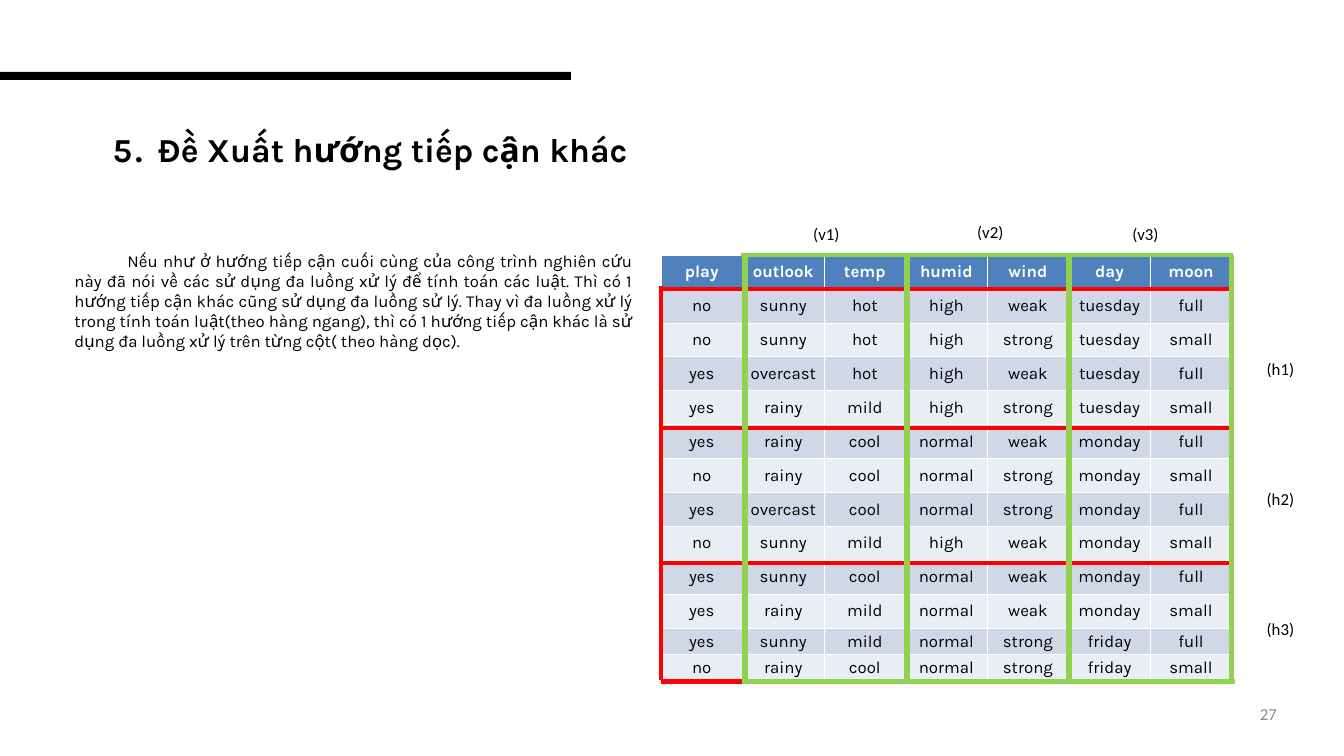
from dataclasses import dataclass

from lxml import etree
from pptx import Presentation
from pptx.dml.color import RGBColor
from pptx.enum.shapes import MSO_CONNECTOR, MSO_SHAPE
from pptx.enum.text import MSO_ANCHOR, PP_ALIGN
from pptx.oxml import parse_xml
from pptx.oxml.ns import nsdecls, qn
from pptx.slide import Slide
from pptx.util import Inches, Pt

LEFT, CENTER, RIGHT, JUSTIFY = PP_ALIGN.LEFT, PP_ALIGN.CENTER, PP_ALIGN.RIGHT, PP_ALIGN.JUSTIFY
TOP, MIDDLE = MSO_ANCHOR.TOP, MSO_ANCHOR.MIDDLE
STRAIGHT, RECTANGLE = MSO_CONNECTOR.STRAIGHT, MSO_SHAPE.RECTANGLE


@dataclass(frozen=True)
class Theme:
    main_font: str = "Karla"
    label_font: str = "Calibri"
    title_size: int = 36
    text_size: int = 18
    ink: str = "000000"
    white: str = "FFFFFF"
    muted: str = "8C8C8C"
    header: str = "4F81BD"
    odd_row: str = "D0D8E8"
    even_row: str = "E9EDF4"
    horizontal_split: str = "FF0000"
    vertical_split: str = "92D050"


@dataclass(frozen=True)
class Rule:
    x1: float
    y1: float
    x2: float
    y2: float
    color: str
    weight: float


@dataclass(frozen=True)
class Note:
    text: str
    left: float
    top: float
    width: float = 1.2
    height: float = 0.4
    font: str = "Calibri"
    color: str = "000000"
    align: PP_ALIGN = LEFT
    first_indent: float = 0
    inset: float | None = None


THEME = Theme()
TABLE_LEFT, TABLE_TOP, TABLE_WIDTH = 9.84, 3.8, 8.5
TABLE_RIGHT = TABLE_LEFT + TABLE_WIDTH
TABLE_BOTTOM = 10.15
TALL_ROWS, TALL_HEIGHT, SHORT_HEIGHT = 11, 5.56, 0.32

WEATHER = [line.split() for line in """
play outlook temp humid wind day moon
no sunny hot high weak tuesday full
no sunny hot high strong tuesday small
yes overcast hot high weak tuesday full
yes rainy mild high strong tuesday small
yes rainy cool normal weak monday full
no rainy cool normal strong monday small
yes overcast cool normal strong monday full
no sunny mild high weak monday small
yes sunny cool normal weak monday full
yes rainy mild normal weak monday small
yes sunny mild normal strong friday full
no rainy cool normal strong friday small
""".strip().splitlines()]

PROPOSAL = (
    "Nếu như ở hướng tiếp cận cuối cùng của công trình nghiên cứu này đã nói về các sử dụng "
    "đa luồng xử lý để tính toán các luật. Thì có 1 hướng tiếp cận khác cũng sử dụng đa luồng "
    "sử lý. Thay vì đa luồng xử lý trong tính toán luật(theo hàng ngang), thì có 1 hướng tiếp "
    "cận khác là sử dụng đa luồng xử lý trên từng cột( theo hàng dọc)."
)

RED, GREEN = THEME.horizontal_split, THEME.vertical_split
RULES = [
    *(Rule(TABLE_LEFT, y, TABLE_RIGHT, y, RED, 4.5) for y in (4.3, 6.38, 8.38, TABLE_BOTTOM)),
    Rule(TABLE_LEFT, 4.26, TABLE_LEFT, 10.13, RED, 4.5),
    Rule(TABLE_RIGHT, 4.3, TABLE_RIGHT, 10.17, RED, 1.5),
    *(Rule(x, TABLE_TOP, x, 10.17, GREEN, 6) for x in (11.09 + 2.415 * i for i in range(4))),
    Rule(11.03, TABLE_TOP, 18.35, TABLE_TOP, GREEN, 4.5),
    Rule(11.05, TABLE_BOTTOM, 18.38, TABLE_BOTTOM, GREEN, 4.5),
]

NOTES = [
    Note(PROPOSAL, 1.01, 3.68, 8.5, 1.62, THEME.main_font, align=JUSTIFY, first_indent=0.79),
    *(Note(f"(h{i + 1})", 18.76, 5.3 + 1.935 * i) for i in range(3)),
    *(Note(f"(v{i})", x, y) for i, x, y in ((1, 12.01, 3.28), (2, 14.45, 3.26), (3, 16.76, 3.28))),
    Note("27", 14.41, 10.48, 4.6, 0.56, color=THEME.muted, align=RIGHT, inset=0),
]


def apply_format(target: object, values: dict[str, object]) -> None:
    for attribute, value in values.items():
        setattr(target, attribute, value)


def format_font(font: object, name: str, size: int, color: str, bold: bool = False) -> None:
    apply_format(font, {"name": name, "size": Pt(size), "bold": bold})
    font.color.rgb = RGBColor.from_string(color)


def add_title(slide: Slide) -> None:
    title = slide.shapes.title
    apply_format(title, {"left": Inches(1.35), "top": Inches(1.83),
                         "width": Inches(8.32), "height": Inches(0.7)})
    apply_format(title.text_frame, {"margin_left": 0, "margin_top": Inches(0.09), "margin_right": 0,
                                    "margin_bottom": 0, "vertical_anchor": TOP, "word_wrap": True})
    heading = title.text_frame.paragraphs[0]
    apply_format(heading, {"alignment": CENTER, "line_spacing": 1.01})
    for text, spacing in (("5. ", "360"), ("Đề Xuất hướng tiếp cận khác", "0")):
        run = heading.add_run()
        run.text = text
        format_font(run.font, THEME.main_font, THEME.title_size, THEME.ink, True)
        run.font._element.set("spc", spacing)


def add_accent_bar(slide: Slide) -> None:
    bar = slide.shapes.add_shape(RECTANGLE, 0, Inches(1.07), Inches(8.5), Inches(0.12))
    bar.shadow.inherit = False
    bar.fill.solid()
    bar.fill.fore_color.rgb = RGBColor.from_string(THEME.ink)
    bar.line.fill.background()


def add_note(slide: Slide, note: Note) -> None:
    box = slide.shapes.add_textbox(*map(Inches, (note.left, note.top, note.width, note.height)))
    frame = box.text_frame
    frame.word_wrap = True
    if note.inset is not None:
        sides = ("left", "top", "right", "bottom")
        apply_format(frame, {f"margin_{side}": Inches(note.inset) for side in sides})
    paragraph = frame.paragraphs[0]
    paragraph.text = note.text
    paragraph.alignment = note.align
    if note.first_indent:
        paragraph._p.get_or_add_pPr().set("indent", str(Inches(note.first_indent)))
    format_font(paragraph.runs[0].font, note.font, THEME.text_size, note.color)


def add_rule(slide: Slide, rule: Rule) -> None:
    line = slide.shapes.add_connector(STRAIGHT, *map(Inches, (rule.x1, rule.y1, rule.x2, rule.y2)))
    line.line.color.rgb = RGBColor.from_string(rule.color)
    line.line.width = Pt(rule.weight)
    etree.SubElement(line._element.spPr, qn("a:effectLst"))


def format_cell(cell: object, text: str, row: int) -> None:
    is_header = row == 0
    properties = cell._tc.get_or_add_tcPr()
    for side in "LRTB":
        weight = Pt(3 if is_header and side == "B" else 1)
        properties.append(parse_xml(
            f'<a:ln{side} {nsdecls("a")} w="{weight}"><a:solidFill>'
            f'<a:srgbClr val="{THEME.white}"/></a:solidFill></a:ln{side}>'))
    fill = THEME.header if is_header else THEME.odd_row if row % 2 else THEME.even_row
    cell.fill.solid()
    cell.fill.fore_color.rgb = RGBColor.from_string(fill)
    cell.vertical_anchor = MIDDLE
    paragraph = cell.text_frame.paragraphs[0]
    paragraph.text = text
    paragraph.alignment = CENTER
    color = THEME.white if is_header else THEME.ink
    format_font(paragraph.runs[0].font, THEME.main_font, THEME.text_size, color, is_header)


def add_weather_table(slide: Slide) -> None:
    columns = len(WEATHER[0])
    weather = slide.shapes.add_table(
        len(WEATHER), columns, *map(Inches, (TABLE_LEFT, TABLE_TOP, TABLE_WIDTH, 6.37))).table
    for column in weather.columns:
        column.width = Inches(TABLE_WIDTH / columns)
    for index, record in enumerate(WEATHER):
        height = TALL_HEIGHT / TALL_ROWS if index < TALL_ROWS else SHORT_HEIGHT
        weather.rows[index].height = Inches(height)
        for position, value in enumerate(record):
            format_cell(weather.cell(index, position), value, index)


def main() -> None:
    deck = Presentation()
    apply_format(deck, {"slide_width": Inches(20.01), "slide_height": Inches(11.26)})
    slide = deck.slides.add_slide(deck.slide_layouts[5])
    add_title(slide)
    add_accent_bar(slide)
    add_weather_table(slide)
    for rule in RULES:
        add_rule(slide, rule)
    for note in NOTES:
        add_note(slide, note)
    deck.save("out.pptx")


if __name__ == "__main__":
    main()
